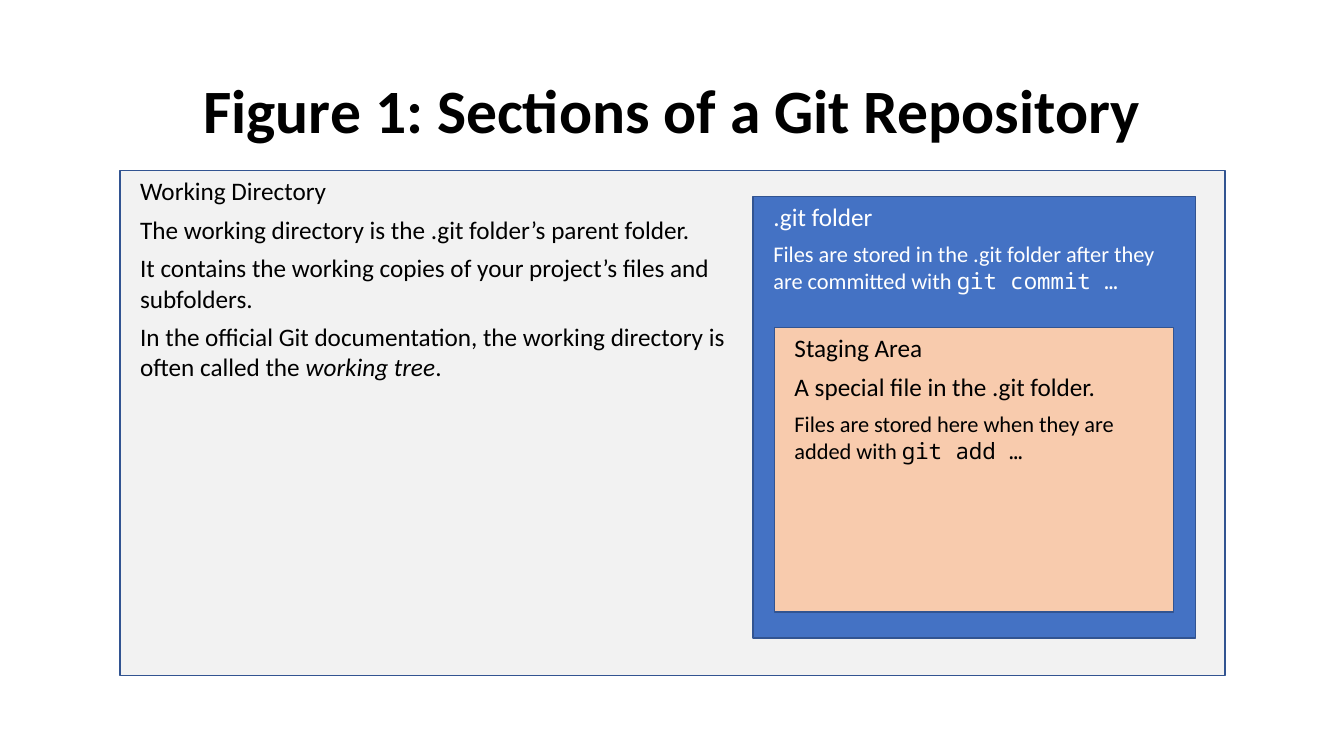
"""Build a slide showing the nested sections of a Git repository."""
from pptx import Presentation
from pptx.dml.color import RGBColor
from pptx.enum.shapes import MSO_SHAPE
from pptx.enum.text import MSO_ANCHOR, PP_ALIGN
from pptx.util import Pt

PX = 9144
BLACK = RGBColor(0x00, 0x00, 0x00)
WHITE = RGBColor(0xFF, 0xFF, 0xFF)
GRAY = RGBColor(0xF2, 0xF2, 0xF2)
BLUE = RGBColor(0x44, 0x72, 0xC4)
NAVY = RGBColor(0x32, 0x54, 0x91)
PEACH = RGBColor(0xF8, 0xCB, 0xAD)
BODY_FONT = "Calibri"
CODE_FONT = "Noto Sans Mono"

SECTIONS = [
    ((119, 169, 1096, 501), GRAY, BLACK, [
        (18, 6, [("Working Directory", "plain")]),
        (18, 6, [("The working directory is the .git folder’s parent folder.", "plain")]),
        (18, 6, [("It contains the working copies of your project’s files and\nsubfolders.", "plain")]),
        (18, 6, [("In the official Git documentation, the working directory is\noften called the ", "plain"),
                 ("working tree", "italic"), (".", "plain")]),
    ]),
    ((747, 195, 439, 438), BLUE, WHITE, [
        (18, 6, [(".git folder", "plain")]),
        (16, 0, [("Files are stored in the .git folder after they are committed with ", "plain"),
                 ("git commit …", "code")]),
    ]),
    ((768, 325, 396, 282), PEACH, BLACK, [
        (18, 6, [("Staging Area", "plain")]),
        (18, 6, [("A special file in the .git folder.", "plain")]),
        (16, 0, [("Files are stored here when they are added with ", "plain"),
                 ("git add …", "code")]),
    ]),
]

deck = Presentation()
deck.slide_width, deck.slide_height = 1333 * PX, 750 * PX
page = deck.slides.add_slide(deck.slide_layouts[6])

title = page.shapes.add_textbox(92 * PX, 40 * PX, 1150 * PX, 145 * PX)
title.text_frame.word_wrap = True
title.text_frame.vertical_anchor = MSO_ANCHOR.MIDDLE
para = title.text_frame.paragraphs[0]
para.text = "Figure 1: Sections of a Git Repository"
para.alignment = PP_ALIGN.CENTER
para.line_spacing = 0.9
para.font.name = BODY_FONT
para.font.size = Pt(44)
para.font.bold = True
para.font.color.rgb = BLACK

for bounds, fill, ink, paragraphs in SECTIONS:
    box = page.shapes.add_shape(MSO_SHAPE.RECTANGLE, *(length * PX for length in bounds))
    box.shadow.inherit = False
    box.fill.solid()
    box.fill.fore_color.rgb = fill
    box.line.color.rgb = NAVY
    box.line.width = Pt(1)
    frame = box.text_frame
    frame.word_wrap = True
    frame.vertical_anchor = MSO_ANCHOR.TOP
    frame.margin_left, frame.margin_right = 20 * PX, 10 * PX
    frame.margin_top = frame.margin_bottom = 5 * PX
    for index, (size, space_after, spans) in enumerate(paragraphs):
        para = frame.add_paragraph() if index else frame.paragraphs[0]
        para.alignment = PP_ALIGN.LEFT
        para.space_after = Pt(space_after)
        para.font.size = Pt(size)
        para.font.color.rgb = ink
        for text, style in spans:
            for line_number, line in enumerate(text.split("\n")):
                if line_number:
                    para.add_line_break()
                span = para.add_run()
                span.text = line
                span.font.name = CODE_FONT if style == "code" else BODY_FONT
                if style == "italic":
                    span.font.italic = True

deck.save("out.pptx")
